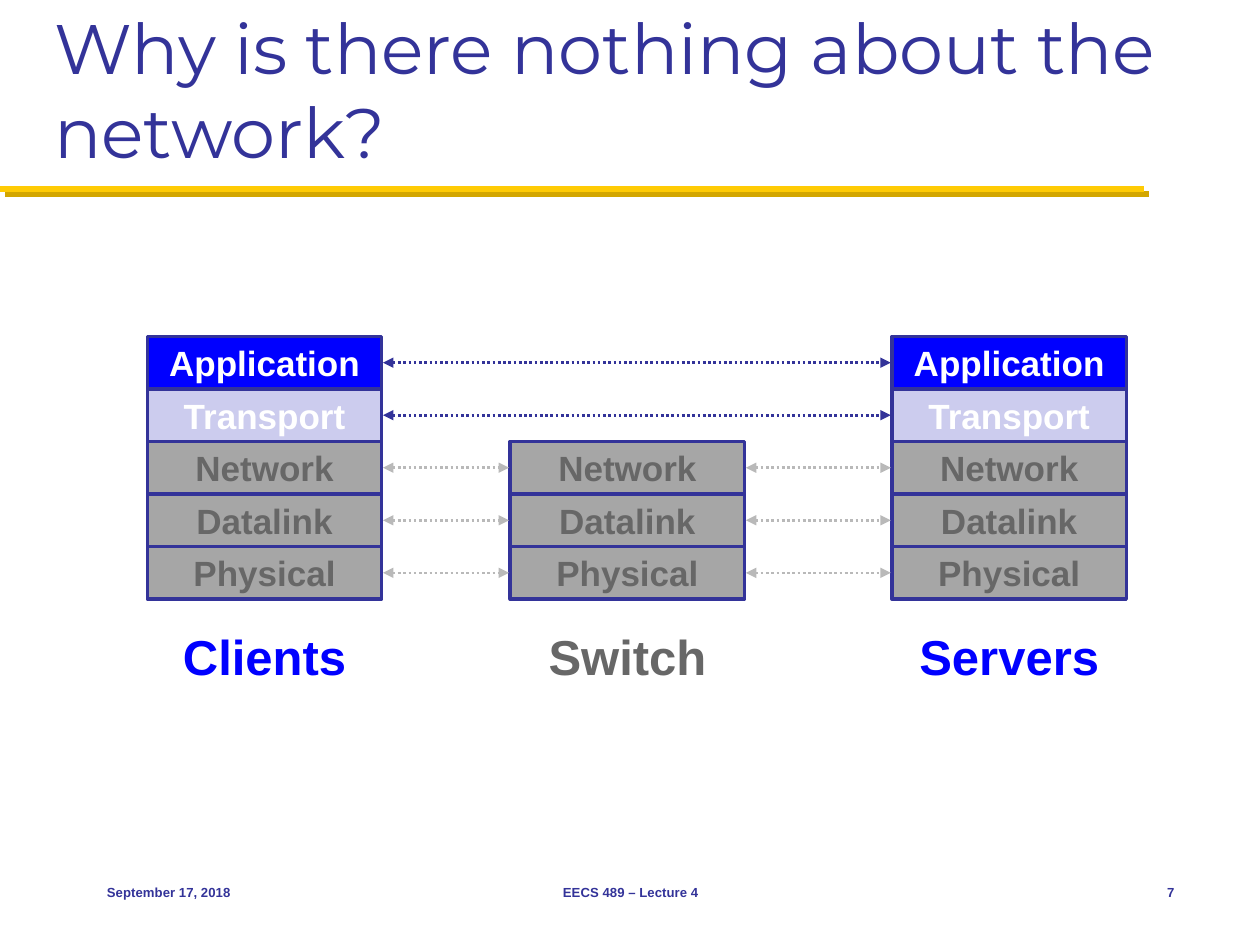
from lxml import etree
from pptx import Presentation
from pptx.dml.color import RGBColor
from pptx.enum.dml import MSO_LINE
from pptx.enum.shapes import MSO_CONNECTOR, MSO_SHAPE
from pptx.enum.text import MSO_ANCHOR, MSO_AUTO_SIZE, PP_ALIGN
from pptx.oxml.ns import qn
from pptx.util import Inches, Pt

NAVY = RGBColor(0x33, 0x33, 0x99)
BLUE = RGBColor(0x00, 0x00, 0xFF)
LAVENDER = RGBColor(0xCC, 0xCC, 0xEE)
GRAY = RGBColor(0xA6, 0xA6, 0xA6)
DARK_GRAY = RGBColor(0x67, 0x67, 0x67)
LIGHT_GRAY = RGBColor(0xB9, 0xB9, 0xB9)
WHITE = RGBColor(0xFF, 0xFF, 0xFF)
GOLD = RGBColor(0xFF, 0xCB, 0x05)
DARK_GOLD = RGBColor(0xD3, 0xA6, 0x00)

TITLE = "Why is there nothing about the network?"
FOOTERS = [
    ("September 17, 2018", 0.75, 2.08, PP_ALIGN.LEFT),
    ("EECS 489 – Lecture 4", 3.42, 3.17, PP_ALIGN.CENTER),
    ("7", 8.75, 0.67, PP_ALIGN.RIGHT),
]
LAYERS = [
    ("Application", BLUE, WHITE, NAVY),
    ("Transport", LAVENDER, WHITE, NAVY),
    ("Network", GRAY, DARK_GRAY, LIGHT_GRAY),
    ("Datalink", GRAY, DARK_GRAY, LIGHT_GRAY),
    ("Physical", GRAY, DARK_GRAY, LIGHT_GRAY),
]
HOSTS = [
    ("Clients", 1.17, 0, BLUE),
    ("Switch", 4.05, 2, DARK_GRAY),
    ("Servers", 7.08, 0, BLUE),
]
STACK_TOP, LAYER_WIDTH, LAYER_HEIGHT = 2.67, 1.86, 0.417
LABEL_TOP, LABEL_HEIGHT = 4.92, 0.57


def write(shape, text, size, color, align, anchor, font="Arial", bold=True):
    frame = shape.text_frame
    frame.text = text
    settings = {"word_wrap": True, "auto_size": MSO_AUTO_SIZE.NONE, "vertical_anchor": anchor}
    for name, value in settings.items():
        setattr(frame, name, value)
    para = frame.paragraphs[0]
    para.alignment = align
    span = para.runs[0]
    for name, value in {"name": font, "size": Pt(size), "bold": bold}.items():
        setattr(span.font, name, value)
    span.font.color.rgb = color


def add_label(page, text, left, top, width, height, *style):
    box = page.shapes.add_textbox(Inches(left), Inches(top), Inches(width), Inches(height))
    write(box, text, *style)


def add_line(page, left, right, y, color, width):
    line = page.shapes.add_connector(
        MSO_CONNECTOR.STRAIGHT, Inches(left), Inches(y), Inches(right), Inches(y))
    line.line.color.rgb = color
    line.line.width = Pt(width)
    effects = etree.SubElement(line._element.spPr, qn("a:effectLst"))
    return line, effects


def add_rule(page):
    effects = add_line(page, 0, 9.08, 1.5, GOLD, 3.5)[1]
    shadow = etree.SubElement(
        effects, qn("a:outerShdw"), dist=str(Pt(4.2)), dir="2700000", algn="ctr", rotWithShape="0")
    etree.SubElement(shadow, qn("a:srgbClr"), val=str(DARK_GOLD))


def add_arrow(page, left, right, y, color):
    arrow = add_line(page, left, right, y, color, 1.5)[0]
    arrow.line.dash_style = MSO_LINE.ROUND_DOT
    outline = arrow.line._get_or_add_ln()
    for end in ("a:headEnd", "a:tailEnd"):
        etree.SubElement(outline, qn(end), type="triangle")


def add_layer(page, left, row):
    text, fill, color, _ = LAYERS[row]
    box = page.shapes.add_shape(
        MSO_SHAPE.RECTANGLE, Inches(left), Inches(STACK_TOP + row * LAYER_HEIGHT),
        Inches(LAYER_WIDTH), Inches(LAYER_HEIGHT))
    box.shadow.inherit = False
    box.fill.solid()
    box.fill.fore_color.rgb = fill
    box.line.color.rgb = NAVY
    box.line.width = Pt(2)
    write(box, text, 20, color, PP_ALIGN.CENTER, MSO_ANCHOR.MIDDLE)


def main():
    deck = Presentation()
    deck.slide_width, deck.slide_height = Inches(10), Inches(7.5)
    page = deck.slides.add_slide(deck.slide_layouts[5])
    add_rule(page)

    title = page.shapes.title
    place = {"left": 0.33, "top": 0.17, "width": 9.33, "height": 1.25}
    for name, value in place.items():
        setattr(title, name, Inches(value))
    write(title, TITLE, 40, NAVY, PP_ALIGN.LEFT, MSO_ANCHOR.BOTTOM, "Montserrat", False)

    for text, left, width, align in FOOTERS:
        add_label(page, text, left, 6.83, width, 0.5, 7.5, NAVY, align, MSO_ANCHOR.MIDDLE)

    for name, left, first, color in HOSTS:
        for row in range(first, len(LAYERS)):
            add_layer(page, left, row)
        add_label(page, name, left, LABEL_TOP, LAYER_WIDTH, LABEL_HEIGHT,
                  28, color, PP_ALIGN.CENTER, MSO_ANCHOR.TOP)

    for row, layer in enumerate(LAYERS):
        lefts = [left for _, left, first, _ in HOSTS if first <= row]
        y = STACK_TOP + (row + 0.5) * LAYER_HEIGHT
        for start, end in zip(lefts, lefts[1:]):
            add_arrow(page, start + LAYER_WIDTH + 0.01, end - 0.01, y, layer[3])

    deck.save("out.pptx")


if __name__ == "__main__":
    main()
